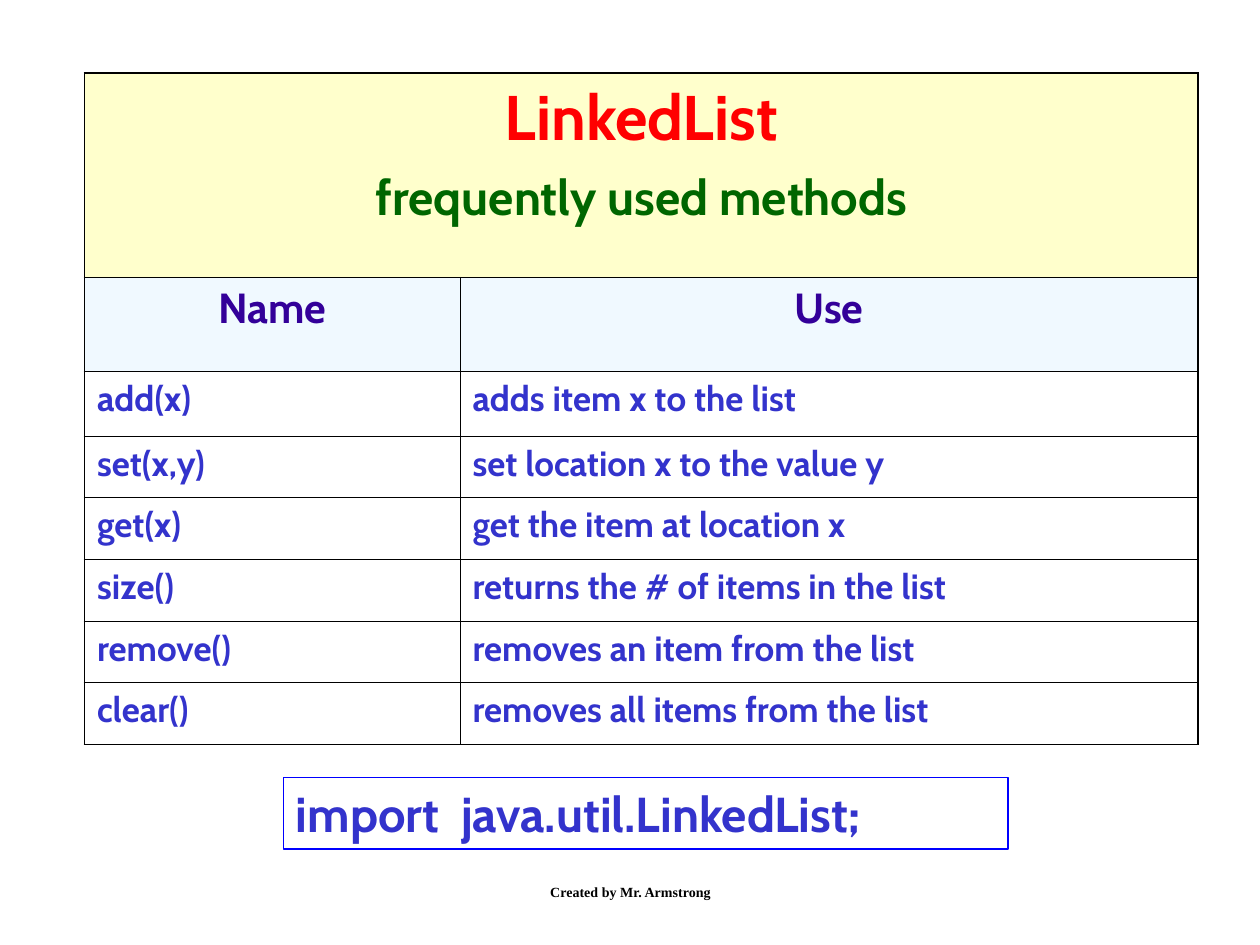
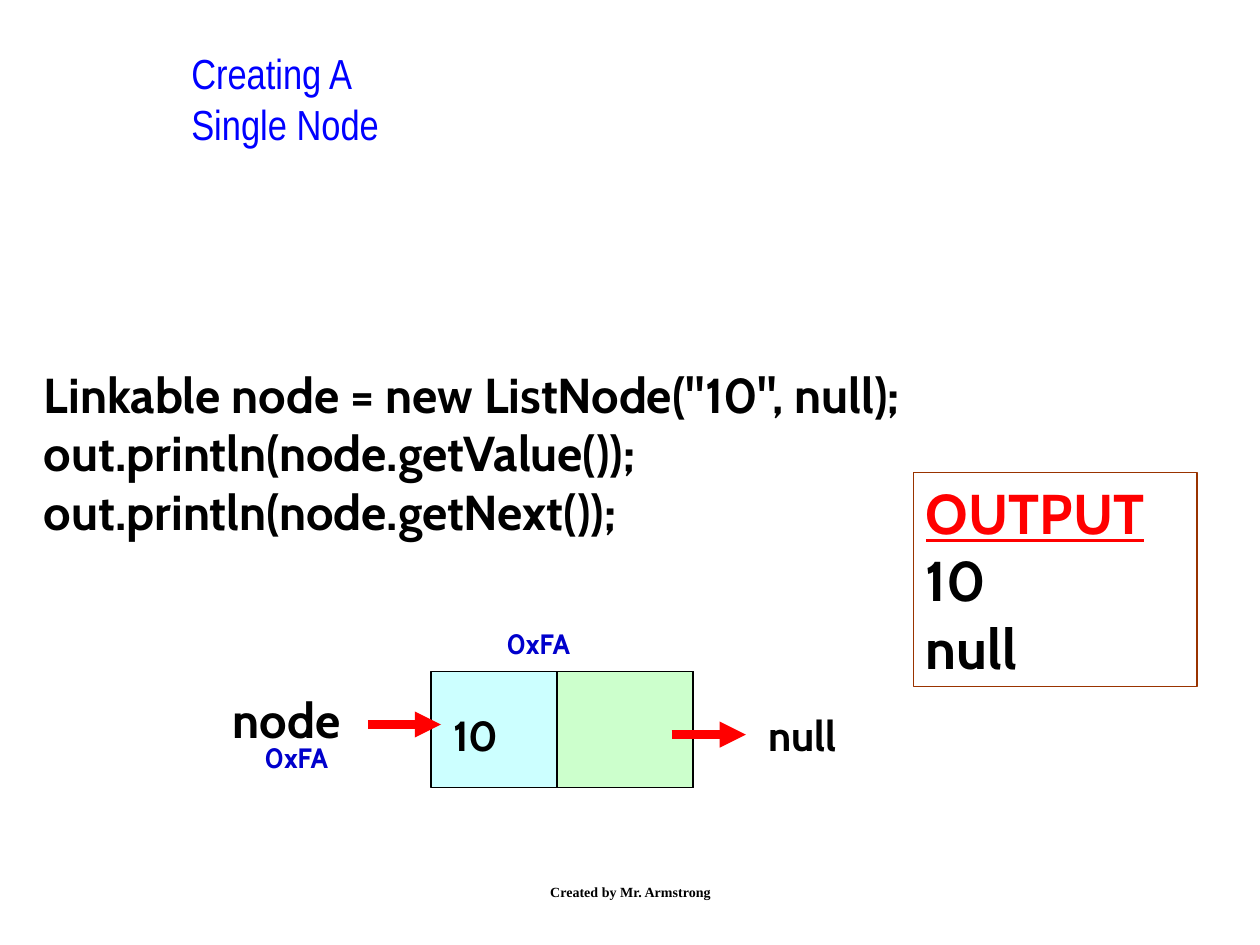
from lxml.etree import SubElement
from pptx import Presentation
from pptx.dml.color import RGBColor
from pptx.enum.shapes import MSO_CONNECTOR as Connector, MSO_SHAPE as Shape
from pptx.enum.text import MSO_ANCHOR as Anchor, PP_ALIGN as Align
from pptx.oxml import parse_xml
from pptx.oxml.ns import nsdecls, qn
from pptx.util import Inches, Pt

# Shared fonts and colours
CODE_FONT = "Cabin"
TITLE_FONT = "Arial Narrow"
FOOTER_FONT = "Times New Roman"
BLACK, RED, BLUE = "000000", "FF0000", "0000FF"
METHOD_BLUE, ADDRESS_BLUE = "3333CC", "0000CC"
OUTER_BORDER, INNER_BORDER = 1.08, 0.45

METHODS = [
    ("add(x)", "adds item x to the list"),
    ("set(x,y)", "set location x to the value y"),
    ("get(x)", "get the item at location x"),
    ("size()", "returns the # of items in the list"),
    ("remove()", "removes an item from the list"),
    ("clear()", "removes all items from the list"),
]


def rgb(color):
    return RGBColor.from_string(color)


def style(paragraph, size, color=BLACK, font=CODE_FONT, bold=True, align=Align.LEFT):
    paragraph.alignment = align
    for run in paragraph.runs:
        run.font.name = font
        run.font.size = Pt(size)
        run.font.bold = bold
        run.font.color.rgb = rgb(color)


def write(frame, text, size, color=BLACK, **look):
    frame.text = text
    for paragraph in frame.paragraphs:
        style(paragraph, size, color, **look)


def add_label(slide, box, text, size, color=BLACK, wrap=True, anchor=Anchor.TOP, **look):
    frame = slide.shapes.add_textbox(*map(Inches, box)).text_frame
    frame.word_wrap = wrap
    frame.vertical_anchor = anchor
    write(frame, text, size, color, **look)


def add_box(slide, box, line, fill=None):
    rectangle = slide.shapes.add_shape(Shape.RECTANGLE, *map(Inches, box))
    rectangle.shadow.inherit = False
    rectangle.line.color.rgb = rgb(line)
    rectangle.line.width = Pt(1)
    if fill:
        rectangle.fill.solid()
        rectangle.fill.fore_color.rgb = rgb(fill)
    else:
        rectangle.fill.background()
    return rectangle


def add_framed_text(slide, box, line, text, size, color=BLACK):
    frame = add_box(slide, box, line).text_frame
    frame.word_wrap = True
    frame.vertical_anchor = Anchor.TOP
    write(frame, text, size, color)
    return frame


def add_arrow(slide, left, right, y):
    arrow = slide.shapes.add_connector(
        Connector.STRAIGHT, Inches(left), Inches(y), Inches(right), Inches(y))
    arrow.line.color.rgb = rgb(RED)
    arrow.line.width = Pt(5)
    SubElement(arrow.line._get_or_add_ln(), qn("a:tailEnd"), type="triangle")
    SubElement(arrow._element.spPr, qn("a:effectLst"))


def add_footer(slide):
    add_label(slide, (3.42, 6.83, 3.17, 0.5), "Created by Mr. Armstrong", 8,
              font=FOOTER_FONT, align=Align.CENTER, anchor=Anchor.MIDDLE)


def set_borders(cell, **widths):
    properties = cell._tc.get_or_add_tcPr()
    for position, (side, width) in enumerate(widths.items()):
        properties.insert(position, parse_xml(
            f'<a:ln{side} {nsdecls("a")} w="{Pt(width)}"><a:solidFill>'
            f'<a:srgbClr val="{BLACK}"/></a:solidFill></a:ln{side}>'))


def fill_cell(cell, text, size, color, fill=None, align=Align.LEFT):
    write(cell.text_frame, text, size, color, align=align)
    if fill:
        cell.fill.solid()
        cell.fill.fore_color.rgb = rgb(fill)
    else:
        cell.fill.background()


def add_methods_table(slide):
    heights = [1.62, 0.75, 0.51] + [0.49] * 5
    widths = [2.98, 5.86]
    last_row, last_column = len(heights) - 1, len(widths) - 1
    table = slide.shapes.add_table(
        len(heights), len(widths), Inches(0.67), Inches(0.58),
        Inches(sum(widths)), Inches(sum(heights))).table
    table.first_row = table.horz_banding = False
    for row, height in zip(table.rows, heights):
        row.height = Inches(height)
    for column, width in zip(table.columns, widths):
        column.width = Inches(width)

    # Heading across both columns
    heading = table.cell(0, 0)
    heading.merge(table.cell(0, last_column))
    fill_cell(heading, "LinkedList\nfrequently used methods", 36, RED,
              "FFFFCC", Align.CENTER)
    subtitle = heading.text_frame.paragraphs[1]
    style(subtitle, 28, "006600", align=Align.CENTER)
    subtitle.space_before = Pt(7)

    # Column names and methods
    for column, name in enumerate(("Name", "Use")):
        fill_cell(table.cell(1, column), name, 24, "330099", "F0F9FF", Align.CENTER)
    for row, method in enumerate(METHODS, start=2):
        for column, text in enumerate(method):
            fill_cell(table.cell(row, column), text, 20, METHOD_BLUE)

    # Heavier border around the outside
    def border(is_outer):
        return OUTER_BORDER if is_outer else INNER_BORDER

    for row in range(last_row + 1):
        for column in range(last_column + 1):
            spans = row == 0
            set_borders(table.cell(row, column),
                        L=border(spans or column == 0),
                        R=border(spans or column == last_column),
                        T=border(row == 0),
                        B=border(row == last_row))


def build_methods_slide(slide):
    add_methods_table(slide)
    add_framed_text(slide, (2.25, 6.17, 5.75, 0.57), BLUE,
                    "import  java.util.LinkedList;", 28, METHOD_BLUE)
    add_footer(slide)


def build_node_slide(slide):
    # Code and title
    add_label(slide, (0.25, 2.84, 9.75, 2.43),
              'Linkable node = new ListNode("10", null);\n'
              "out.println(node.getValue());\n"
              "out.println(node.getNext());", 28)
    add_label(slide, (1.42, 0.33, 7.17, 1.83), "Creating A\nSingle Node", 24, BLUE,
              font=TITLE_FONT, bold=False, wrap=False)

    # Node diagram
    add_box(slide, (3.42, 5.33, 2.08, 0.92), BLACK, "CCFFFF")
    add_box(slide, (4.42, 5.33, 1.08, 0.92), BLACK, "CCFFCC")
    add_arrow(slide, 5.33, 5.92, 5.83)
    add_label(slide, (3.5, 5.58, 0.92, 0.5), "10", 24)
    add_label(slide, (6, 5.58, 1.08, 0.5), "null", 24)
    add_label(slide, (1.75, 5.42, 1.58, 0.57), "node", 28)
    for left, top in ((2, 5.83), (3.92, 4.92)):
        add_label(slide, (left, top, 1.08, 0.37), "0xFA", 16, ADDRESS_BLUE)
    add_arrow(slide, 2.92, 3.5, 5.75)

    # Program output
    output = add_framed_text(slide, (7.25, 3.75, 2.25, 1.7), "993300",
                             "OUTPUT\n10\nnull", 32)
    output_heading = output.paragraphs[0].runs[0].font
    output_heading.color.rgb = rgb(RED)
    output_heading.underline = True
    add_footer(slide)


def main():
    deck = Presentation()
    deck.slide_width, deck.slide_height = Inches(10), Inches(7.5)
    blank = deck.slide_layouts[6]
    for build in (build_methods_slide, build_node_slide):
        build(deck.slides.add_slide(blank))
    deck.save("out.pptx")


if __name__ == "__main__":
    main()
